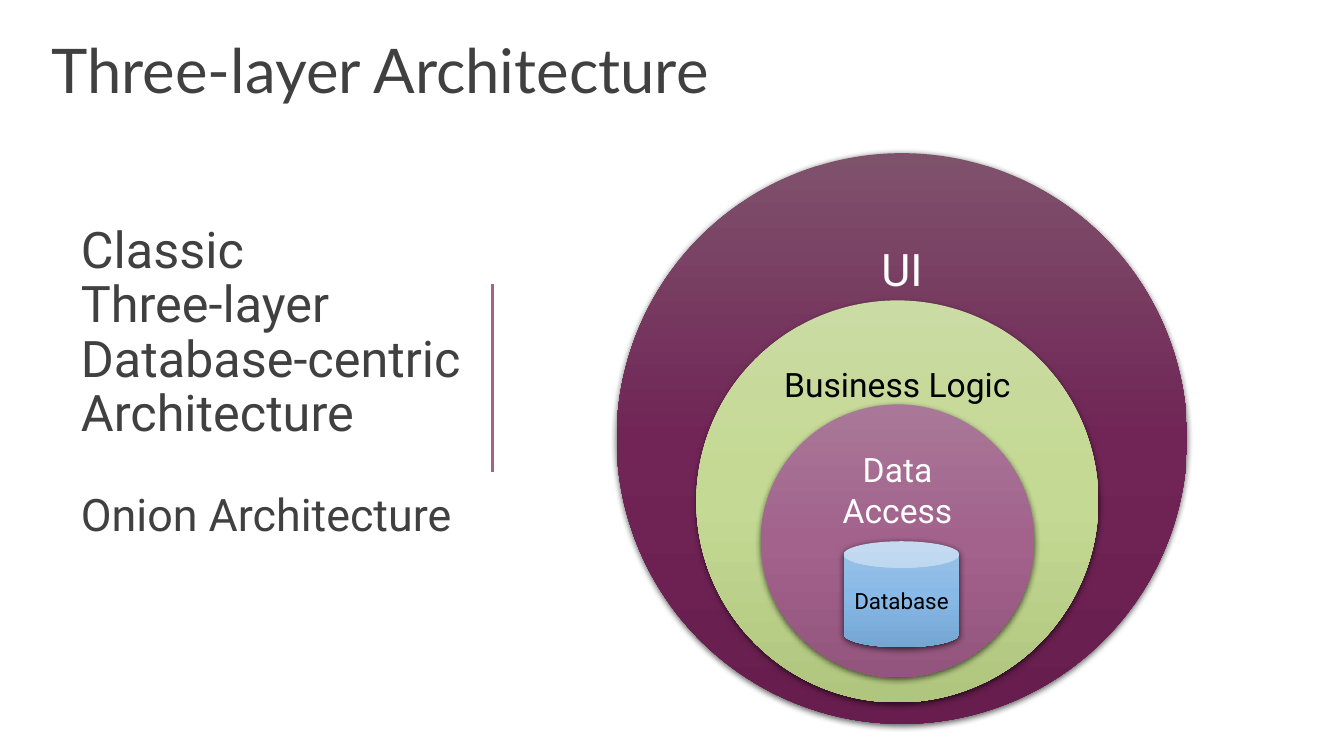
from copy import deepcopy

from lxml.etree import SubElement
from pptx import Presentation
from pptx.dml.color import RGBColor
from pptx.enum.shapes import MSO_CONNECTOR, MSO_SHAPE
from pptx.enum.text import MSO_ANCHOR, PP_ALIGN
from pptx.oxml.ns import qn
from pptx.util import Cm, Pt


def color(hex_string):
    return RGBColor.from_string(hex_string)


class LayerSlide:
    body_font = "Roboto"
    title_font = "Lato"
    text_color = "404040"
    accent_color = "9F658B"

    def __init__(self, presentation):
        self.slide = presentation.slides.add_slide(presentation.slide_layouts[6])

    def style_paragraph(self, paragraph, size, font_name, font_color):
        for run in paragraph.runs:
            run.font.size = Pt(size)
            run.font.name = font_name
            run.font.color.rgb = color(font_color)

    def text_box(self, left, top, width, height, lines, font_name,
                 anchor=MSO_ANCHOR.TOP, bottom_inset=0.25):
        """Add a text box; lines holds (text, size, points before) tuples."""
        text_box = self.slide.shapes.add_textbox(Cm(left), Cm(top), Cm(width), Cm(height))
        text_frame = text_box.text_frame
        text_frame.word_wrap = True
        text_frame.vertical_anchor = anchor
        text_frame.margin_left = text_frame.margin_right = Cm(0.41)
        text_frame.margin_top = Cm(0.25)
        text_frame.margin_bottom = Cm(bottom_inset)
        text_frame.text = "\n".join(text for text, _, _ in lines)
        for paragraph, (_, size, space_before) in zip(text_frame.paragraphs, lines):
            paragraph.line_spacing = 0.9
            paragraph.space_before = Pt(space_before)
            self.style_paragraph(paragraph, size, font_name, self.text_color)

    def vertical_line(self, x, top, bottom):
        line = self.slide.shapes.add_connector(
            MSO_CONNECTOR.STRAIGHT, Cm(x), Cm(top), Cm(x), Cm(bottom))
        line.line.color.rgb = color(self.accent_color)
        line.line.width = Pt(2.25)
        SubElement(line._element.spPr, qn("a:effectLst"))

    def layer(self, preset, left, top, width, height, text, size, font_color,
              gradient, anchor=MSO_ANCHOR.TOP):
        shape = self.slide.shapes.add_shape(preset, Cm(left), Cm(top), Cm(width), Cm(height))
        shape.line.fill.background()
        self.fill_downwards(shape, gradient)
        self.add_shadow(shape)
        text_frame = shape.text_frame
        text_frame.word_wrap = True
        text_frame.vertical_anchor = anchor
        text_frame.text = text
        paragraph = text_frame.paragraphs[0]
        paragraph.alignment = PP_ALIGN.CENTER
        self.style_paragraph(paragraph, size, self.body_font, font_color)

    def fill_downwards(self, shape, gradient):
        """Fill with a three-color gradient from top to bottom."""
        shape.fill.gradient()
        shape.fill.gradient_angle = 270
        stop_list = shape._element.spPr.find(".//" + qn("a:gsLst"))
        stop_list.append(deepcopy(stop_list[0]))
        for stop, position, stop_color in zip(shape.fill.gradient_stops, (0, 0.5, 1), gradient):
            stop.position = position
            stop.color.rgb = color(stop_color)

    def add_shadow(self, shape):
        shape.shadow.inherit = False
        effects = shape._element.spPr.find(qn("a:effectLst"))
        shadow = SubElement(effects, qn("a:outerShdw"), blurRad=str(Pt(4.5)),
                            dist=str(Pt(1.5)), dir="5400000", rotWithShape="0")
        shadow_color = SubElement(shadow, qn("a:srgbClr"), val="000000")
        SubElement(shadow_color, qn("a:alpha"), val="63000")


def main():
    presentation = Presentation()
    presentation.slide_width = Cm(33.87)
    presentation.slide_height = Cm(19.05)
    page = LayerSlide(presentation)

    page.vertical_line(12.42, 7.16, 11.89)
    page.text_box(
        1.63, 3.3, 10.85, 14.12,
        [("Classic\vThree-layer Database-centric Architecture", 36, 0),
         ("Onion Architecture", 32, 36)],
        page.body_font, MSO_ANCHOR.MIDDLE, bottom_inset=1.65)
    page.text_box(0.89, 0.76, 31.88, 2.21,
                  [("Three-layer Architecture", 44, 0)], page.title_font)

    onion_rings = [
        (15.54, 3.86, 14.38, "UI", 32, "FFFFFF", ("7F526C", "702556", "671D4D")),
        (17.55, 7.57, 10.13, "Business Logic", 24, "000000", ("CADBA3", "C4D993", "B0C57E")),
        (19.18, 10.19, 6.88, "Data Access", 24, "FFFFFF", ("A97898", "A2628C", "93547D")),
    ]
    for left, top, diameter, text, size, font_color, gradient in onion_rings:
        page.layer(MSO_SHAPE.OVAL, left, top, diameter, diameter,
                   text, size, font_color, gradient)
    page.layer(MSO_SHAPE.CAN, 21.26, 13.64, 2.92, 2.67, "Database", 16, "000000",
               ("9BC2E7", "89BAE7", "74A6D3"), MSO_ANCHOR.MIDDLE)

    presentation.save("out.pptx")


if __name__ == "__main__":
    main()
